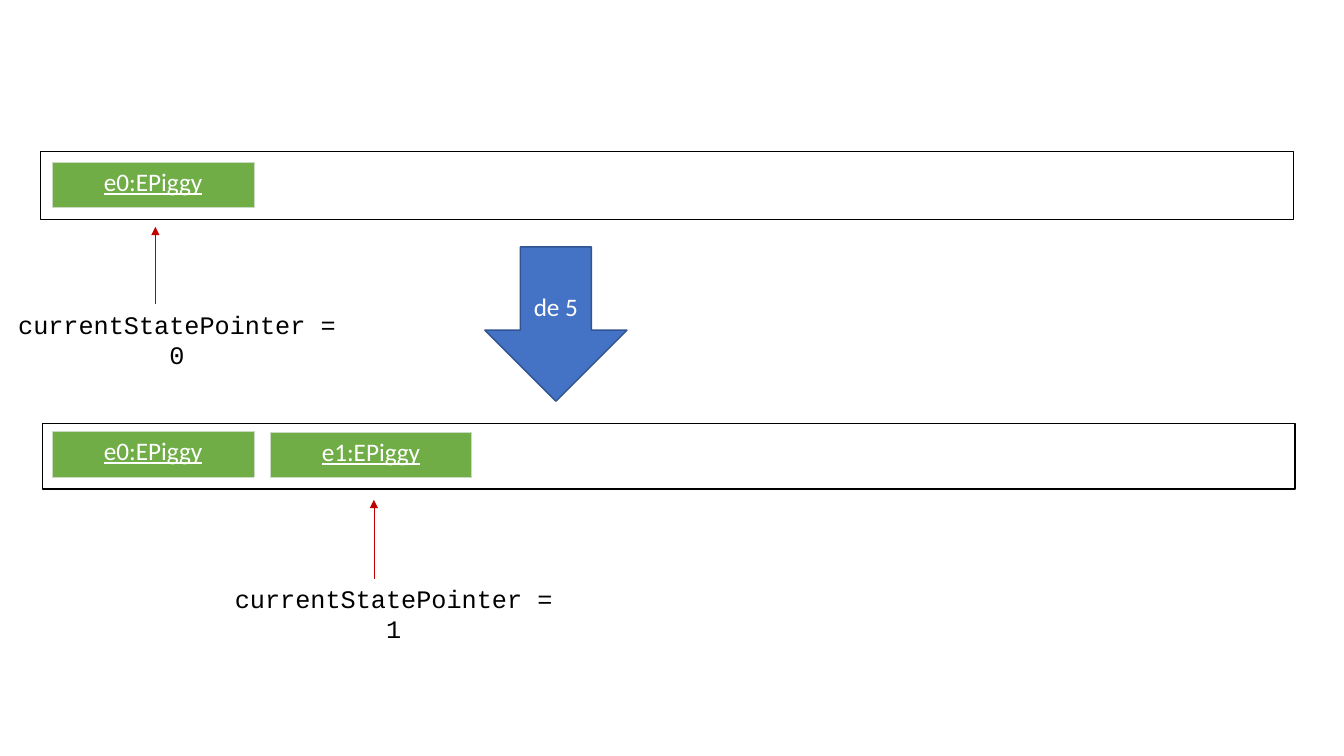
"""Draw the state history of a piggy bank before and after one deposit."""
from dataclasses import dataclass

from lxml import etree
from pptx import Presentation, util as u
from pptx.dml.color import RGBColor
from pptx.enum import shapes, text
from pptx.oxml import ns

Pt = u.Pt


@dataclass(frozen=True)
class Theme:
    """Colours, fonts and sizes of the slide."""
    ink: str = "000000"
    paper: str = "FFFFFF"
    state: str = "70AD47"
    state_edge: str = "C9DBC1"
    step: str = "4472C4"
    step_edge: str = "325491"
    pointer: str = "C00000"
    sans: str = "Calibri"
    mono: str = "Courier New"
    size: float = 18
    thin: float = 0.5
    line: float = 1


def write(frame, words, *, font, size, color, underline=False):
    """Put one centred, formatted paragraph into a text frame."""
    paragraph = frame.paragraphs[0]
    paragraph.alignment = text.PP_ALIGN.CENTER
    run = paragraph.add_run()
    run.text = words
    run.font.name = font
    run.font.size = Pt(size)
    run.font.color.rgb = RGBColor.from_string(color)
    if underline:
        run.font.underline = True


class Diagram:
    """Hold the theme and the current slide."""

    def __init__(self, slide, theme):
        """Keep the slide and its theme."""
        self.slide = slide
        self.theme = theme

    def shape(self, kind, left, top, width, height, edge, fill=None):
        """Add an outlined preset shape."""
        shape = self.slide.shapes.add_shape(kind, Pt(left), Pt(top), Pt(width), Pt(height))
        shape.shadow.inherit = False
        if fill:
            shape.fill.solid()
            shape.fill.fore_color.rgb = RGBColor.from_string(fill)
        else:
            shape.fill.background()
        shape.line.color.rgb = RGBColor.from_string(edge)
        shape.line.width = Pt(self.theme.line)
        return shape

    def history(self, left, top, height):
        """Add the long frame around a row of states."""
        self.shape(shapes.MSO_SHAPE.RECTANGLE, left, top, 895, height, self.theme.ink)

    def step(self, words, left, top, width, height):
        """Add the block arrow from one history to the next."""
        t = self.theme
        arrow = self.shape(shapes.MSO_SHAPE.DOWN_ARROW, left, top, width, height, t.step_edge, t.step)
        arrow.text_frame.vertical_anchor = text.MSO_ANCHOR.MIDDLE
        write(arrow.text_frame, words, font=t.sans, size=t.size, color=t.paper)

    def state(self, words, left, top):
        """Add a one-cell table for a state object."""
        t = self.theme
        table = self.slide.shapes.add_table(1, 1, Pt(left), Pt(top), Pt(144), Pt(32.4)).table
        table.first_row = table.horz_banding = False
        cell = table.cell(0, 0)
        cell.fill.solid()
        cell.fill.fore_color.rgb = RGBColor.from_string(t.state)
        properties = cell._tc.get_or_add_tcPr()
        for index, side in enumerate(("lnL", "lnR", "lnT", "lnB")):
            border = etree.Element(ns.qn(f"a:{side}"), w=str(Pt(t.thin)))
            paint = etree.SubElement(border, ns.qn("a:solidFill"))
            etree.SubElement(paint, ns.qn("a:srgbClr"), val=t.state_edge)
            properties.insert(index, border)
        write(cell.text_frame, words, font=t.sans, size=t.size, color=t.paper, underline=True)

    def pointer(self, words, left, label_top, x, tip):
        """Add a pointer label and the arrow rising from it."""
        t = self.theme
        label = self.slide.shapes.add_textbox(Pt(left), Pt(label_top), Pt(252.7), Pt(28.8))
        label.text_frame.word_wrap = True
        label.text_frame.auto_size = text.MSO_AUTO_SIZE.SHAPE_TO_FIT_TEXT
        write(label.text_frame, words, font=t.mono, size=t.size, color=t.ink)
        arrow = self.slide.shapes.add_connector(
            shapes.MSO_CONNECTOR.STRAIGHT, Pt(x), Pt(label_top), Pt(x), Pt(tip))
        arrow.line.color.rgb = RGBColor.from_string(t.pointer)
        arrow.line.width = Pt(t.thin)
        etree.SubElement(arrow.line._get_or_add_ln(), ns.qn("a:tailEnd"), type="triangle")
        etree.SubElement(arrow._element.spPr, ns.qn("a:effectLst"))


def main():
    """Build and save the slide."""
    deck = Presentation()
    deck.slide_width, deck.slide_height = Pt(960), Pt(540)
    diagram = Diagram(deck.slides.add_slide(deck.slide_layouts[6]), Theme())

    diagram.history(28.8, 108, 49)
    diagram.state("e0:EPiggy", 37.4, 116)
    diagram.pointer("currentStatePointer = 0", 0, 217.4, 111, 162)

    diagram.step("de 5", 346.3, 176.4, 101.5, 110.2)

    diagram.history(30.2, 302.4, 46.8)
    diagram.state("e0:EPiggy", 37.4, 308.2)
    diagram.state("e1:EPiggy", 193, 308.9)
    diagram.pointer("currentStatePointer = 1", 154.8, 413.3, 267.1, 357.1)

    deck.save("out.pptx")


main()
